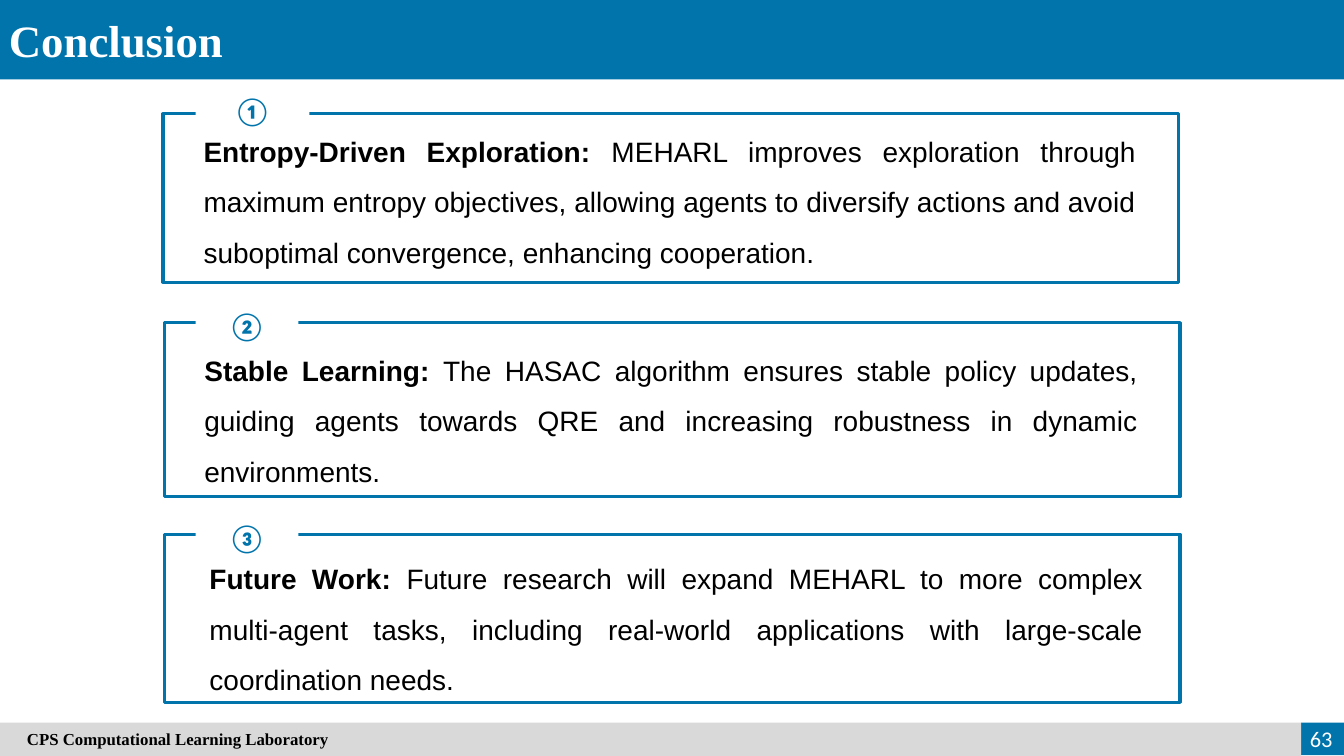
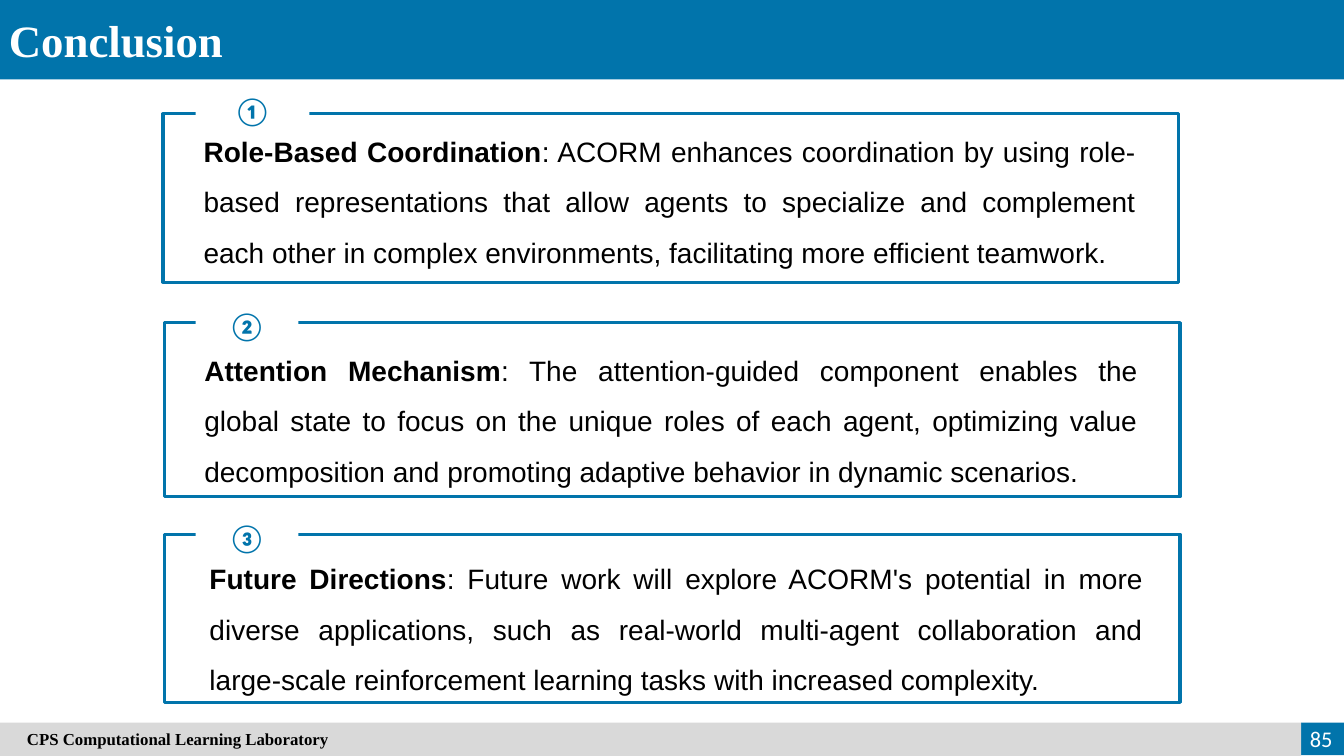
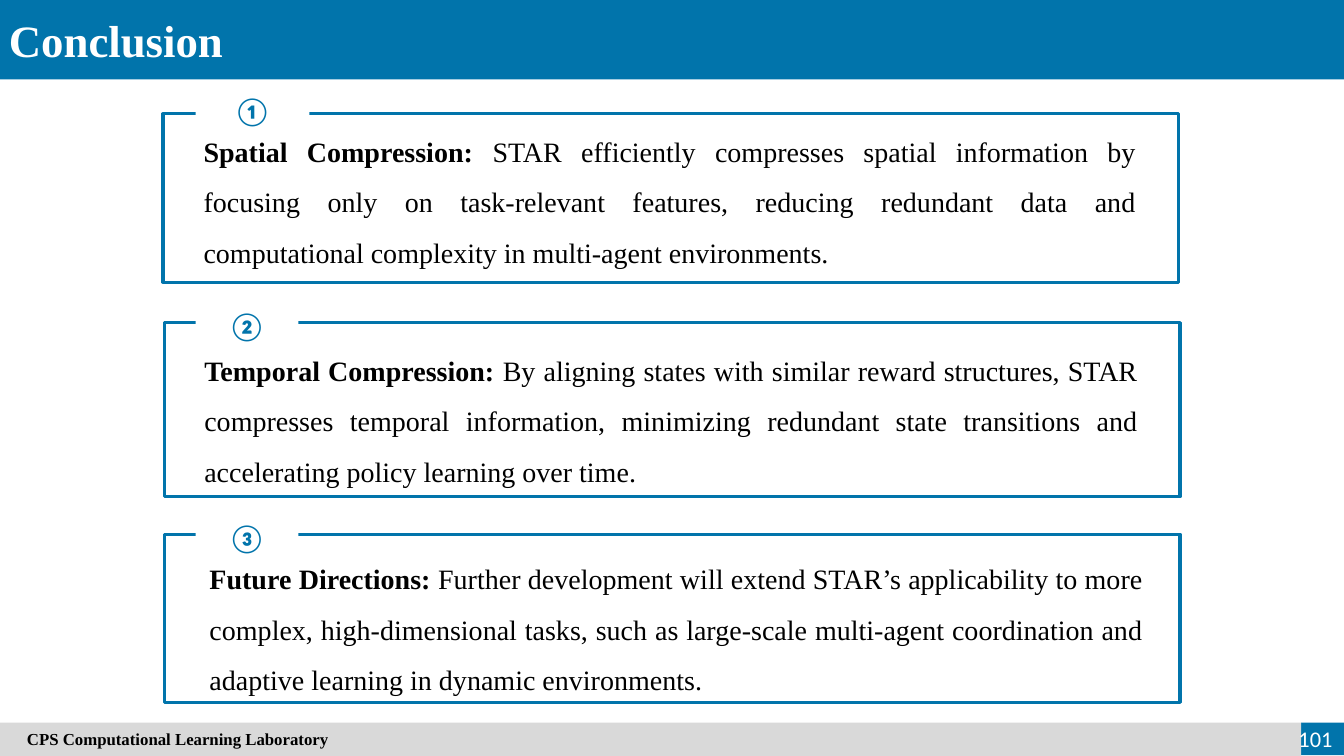
from dataclasses import dataclass
from pptx import Presentation
from pptx.dml.color import RGBColor as Rgb
from pptx.enum.shapes import MSO_SHAPE as Kind
from pptx.enum.text import MSO_ANCHOR as Anchor, MSO_AUTO_SIZE as Fit, PP_ALIGN as Align
from pptx.util import Cm, Pt


@dataclass(frozen=True)
class Theme:
    blue: Rgb = Rgb(0x01, 0x74, 0xAB)
    gray: Rgb = Rgb(0xD9, 0xD9, 0xD9)
    white: Rgb = Rgb(0xFF, 0xFF, 0xFF)
    black: Rgb = Rgb(0, 0, 0)
    serif: str = "Times New Roman"
    sans: str = "Arial"
    plain: str = "Calibri"
    head: Pt = Pt(32)
    text: Pt = Pt(20)
    page: Pt = Pt(16)
    foot: Pt = Pt(12)
    edge: Pt = Pt(2.25)


look = Theme()


def block(slide, spot, fill=None, line=None):
    """Add a rectangle; spot is left, top, width, height in cm."""
    shape = slide.shapes.add_shape(Kind.RECTANGLE, *map(Cm, spot))
    shape.shadow.inherit = False
    if fill is None:
        shape.fill.background()
    else:
        shape.fill.solid()
        shape.fill.fore_color.rgb = fill
    if line is None:
        shape.line.fill.background()
    else:
        shape.line.color.rgb = line
        shape.line.width = look.edge
    return shape


def write(shape, parts, name, size, color, align, anchor=Anchor.MIDDLE, space=1.0):
    """Fill a shape with one paragraph made of (text, bold) parts."""
    frame = shape.text_frame
    for key, value in dict(word_wrap=True, auto_size=Fit.NONE,
                           vertical_anchor=anchor).items():
        setattr(frame, key, value)
    para = frame.paragraphs[0]
    para.alignment = align
    para.line_spacing = space
    for text, bold in parts:
        run = para.add_run()
        run.text = text
        for key, value in dict(name=name, size=size, bold=bold).items():
            setattr(run.font, key, value)
        run.font.color.rgb = color


# Frame, tag and text places of the three cards, in cm
cards = [
    ("①", (4.11, 2.87, 25.6, 4.24), (4.93, 2.08, 2.87, 1.4), (4.88, 2.84, 24, 3.94)),
    ("②", (4.14, 8.13, 25.6, 4.39), (4.93, 7.49, 2.59, 1.4), (4.9, 8.36, 24.03, 3.94)),
    ("③", (4.14, 13.46, 25.6, 4.24), (4.93, 12.85, 2.59, 1.4), (5.03, 13.61, 24.03, 3.96)),
]

# Page number, font, and the lead and rest of each card
pages = [
    ("63", look.sans, [
        ("Entropy-Driven Exploration: ",
         "MEHARL improves exploration through maximum entropy objectives, allowing agents "
         "to diversify actions and avoid suboptimal convergence, enhancing cooperation."),
        ("Stable Learning: ",
         "The HASAC algorithm ensures stable policy updates, guiding agents towards QRE "
         "and increasing robustness in dynamic environments."),
        ("Future Work: ",
         "Future research will expand MEHARL to more complex multi-agent tasks, including "
         "real-world applications with large-scale coordination needs."),
    ]),
    ("85", look.sans, [
        ("Role-Based Coordination",
         ": ACORM enhances coordination by using role-based representations that allow "
         "agents to specialize and complement each other in complex environments, "
         "facilitating more efficient teamwork."),
        ("Attention Mechanism",
         ": The attention-guided component enables the global state to focus on the unique "
         "roles of each agent, optimizing value decomposition and promoting adaptive "
         "behavior in dynamic scenarios."),
        ("Future Directions",
         ": Future work will explore ACORM's potential in more diverse applications, such "
         "as real-world multi-agent collaboration and large-scale reinforcement learning "
         "tasks with increased complexity."),
    ]),
    ("101", look.serif, [
        ("Spatial Compression: ",
         "STAR efficiently compresses spatial information by focusing only on "
         "task-relevant features, reducing redundant data and computational complexity "
         "in multi-agent environments."),
        ("Temporal Compression: ",
         "By aligning states with similar reward structures, STAR compresses temporal "
         "information, minimizing redundant state transitions and accelerating policy "
         "learning over time."),
        ("Future Directions: ",
         "Further development will extend STAR’s applicability to more complex, "
         "high-dimensional tasks, such as large-scale multi-agent coordination and "
         "adaptive learning in dynamic environments."),
    ]),
]

deck = Presentation()
deck.slide_width, deck.slide_height = Cm(33.87), Cm(19.05)

# Layout: title place, no spare placeholders
base = deck.slide_layouts[5]
title, *spare = base.placeholders
title.left, title.top, title.width, title.height = map(Cm, (-0.03, 0.2, 13.64, 1.63))
for item in spare:
    item.element.getparent().remove(item.element)

slides = [deck.slides.add_slide(base) for page in pages]

# Shared bands: drawn once, then moved into the layout behind the title
band = block(slides[0], (0, 0, 33.87, 2), look.blue)
badge = block(slides[0], (32.79, 18.21, 1.08, 0.82), look.blue)
foot = block(slides[0], (0, 18.21, 32.79, 0.84), look.gray)
foot.text_frame.margin_left = Cm(0.68)
write(foot, [("CPS Computational Learning Laboratory", True)],
      look.serif, look.foot, look.black, Align.LEFT)
for num, part in enumerate((band, badge, foot), 20):
    part.element.nvSpPr.cNvPr.set("id", str(num))
    title.element.addprevious(part.element)

for slide, (page, font, notes) in zip(slides, pages):
    # Title and page number
    write(slide.shapes.title, [("Conclusion", True)], look.serif, look.head,
          look.white, Align.JUSTIFY, Anchor.TOP)
    count = slide.shapes.add_textbox(*map(Cm, (32.23, 18.11, 1.6, 1.02)))
    write(count, [(page, False)], look.plain, look.page, look.white, Align.RIGHT)

    # Cards
    for (mark, edge, tab, spot), (lead, rest) in zip(cards, notes):
        block(slide, edge, line=look.blue)
        tag = block(slide, tab, look.white)
        write(tag, [(mark, True)], look.plain, look.text, look.blue, Align.CENTER)
        body = slide.shapes.add_textbox(*map(Cm, spot))
        write(body, [(lead, True), (rest, False)], font, look.text, look.black,
              Align.JUSTIFY, Anchor.TOP, 1.5)

deck.save("out.pptx")
